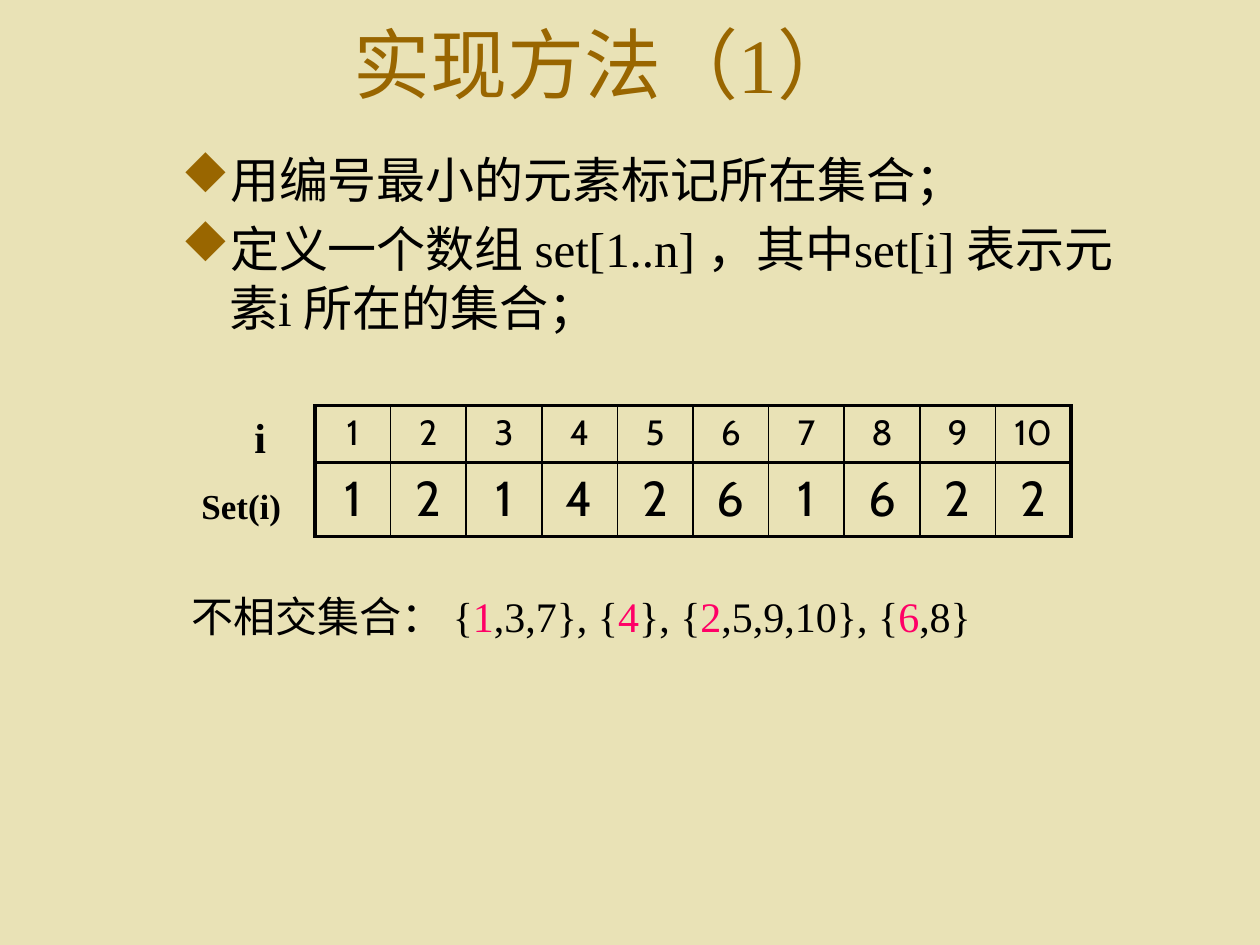
from lxml import etree
from pptx import Presentation
from pptx.dml.color import RGBColor
from pptx.enum.text import MSO_ANCHOR, PP_ALIGN
from pptx.oxml.ns import qn
from pptx.util import Inches, Pt

CENTER, LEFT = PP_ALIGN.CENTER, PP_ALIGN.LEFT
MIDDLE, TOP = MSO_ANCHOR.MIDDLE, MSO_ANCHOR.TOP
SERIF, SANS = "Times New Roman", "Cabin"
BLACK, BROWN, PINK, SAND = "000000", "996600", "FF0066", "E9E2B6"
THICK, THIN = 2.25, 1


def color(hex_value):
    return RGBColor.from_string(hex_value)


def write(paragraph, runs, align=LEFT, **font_format):
    """Fill a paragraph with (text, colour) runs that share one format."""
    paragraph.alignment = align
    for text, hex_value in runs:
        run = paragraph.add_run()
        run.text = text
        run.font.color.rgb = color(hex_value)
        for key, value in font_format.items():
            setattr(run.font, key, value)


prs = Presentation()
prs.slide_width, prs.slide_height = Inches(10), Inches(7.5)
slide = prs.slides.add_slide(prs.slide_layouts[6])
slide.background.fill.solid()
slide.background.fill.fore_color.rgb = color(SAND)

# Text blocks: box, wrap, anchor, alignment, size, bold, paragraphs of runs
statements = [
    [("用编号最小的元素标记所在集合；", BLACK)],
    [("定义一个数组 set[1..n] ，其中set[i] 表示元素i 所在的集合；", BLACK)],
]
disjoint_sets = [
    ("不相交集合： {", BLACK), ("1", PINK), (",3,7}, {", BLACK), ("4", PINK),
    ("}, {", BLACK), ("2", PINK), (",5,9,10}, {", BLACK), ("6", PINK), (",8}", BLACK),
]
text_blocks = [
    ((1.98, 0, 5.63, 1), True, MIDDLE, CENTER, 44, False, [[("实现方法（1）", BROWN)]]),
    ((1.34, 1.14, 7.65, 1.78), True, TOP, LEFT, 28, False, statements),
    ((1.92, 3.22, 0.29, 0.5), False, TOP, LEFT, 24, True, [[("i", BLACK)]]),
    ((1.5, 3.8, 0.92, 0.43), True, TOP, LEFT, 20, True, [[("Set(i)", BLACK)]]),
    ((1.42, 4.64, 7.58, 0.57), True, TOP, LEFT, 24, False, [disjoint_sets]),
]
for box, wrap, anchor, align, size, bold, paragraphs in text_blocks:
    frame = slide.shapes.add_textbox(*map(Inches, box)).text_frame
    frame.word_wrap = wrap
    frame.vertical_anchor = anchor
    for number, runs in enumerate(paragraphs):
        paragraph = frame.add_paragraph() if number else frame.paragraphs[0]
        write(paragraph, runs, align, size=Pt(size), bold=bold, name=SERIF)

        # Hanging indent with diamond bullets ("u" is the diamond in Wingdings)
        if paragraphs is statements:
            paragraph.space_before = Pt(5.6)
            properties = paragraph._p.get_or_add_pPr()
            properties.set("marL", str(Inches(0.38)))
            properties.set("indent", str(-Inches(0.38)))
            bullet_color = etree.SubElement(properties, qn("a:buClr"))
            etree.SubElement(bullet_color, qn("a:srgbClr"), val=BROWN)
            etree.SubElement(properties, qn("a:buFont"), typeface="Wingdings",
                             pitchFamily="2", charset="2")
            etree.SubElement(properties, qn("a:buChar"), char="u")

# Table of each element and the set it belongs to
table_rows = [
    (0.45, 20, range(1, 11)),
    (0.59, 28, [1, 2, 1, 4, 2, 6, 1, 6, 2, 2]),
]
set_table = slide.shapes.add_table(
    2, 10, Inches(2.5), Inches(3.22), Inches(6), Inches(1.04)).table
set_table.first_row = set_table.horz_banding = False
last_column = len(set_table.columns) - 1
for column in set_table.columns:
    column.width = Inches(0.6)
for row_index, (height, size, values) in enumerate(table_rows):
    set_table.rows[row_index].height = Inches(height)
    for column_index, value in enumerate(values):
        cell = set_table.cell(row_index, column_index)
        write(cell.text_frame.paragraphs[0], [(str(value), BLACK)], CENTER,
              size=Pt(size), name=SANS)
        # Thick horizontal lines and outer frame, thin column dividers
        borders = {
            "a:lnL": THIN if column_index else THICK,
            "a:lnR": THIN if column_index < last_column else THICK,
            "a:lnT": THICK,
            "a:lnB": THICK,
        }
        cell_properties = cell._tc.get_or_add_tcPr()
        for tag, width in borders.items():
            line = etree.SubElement(cell_properties, qn(tag), w=str(Pt(width)))
            line_fill = etree.SubElement(line, qn("a:solidFill"))
            etree.SubElement(line_fill, qn("a:srgbClr"), val=BLACK)
        cell.fill.background()

prs.save("out.pptx")
